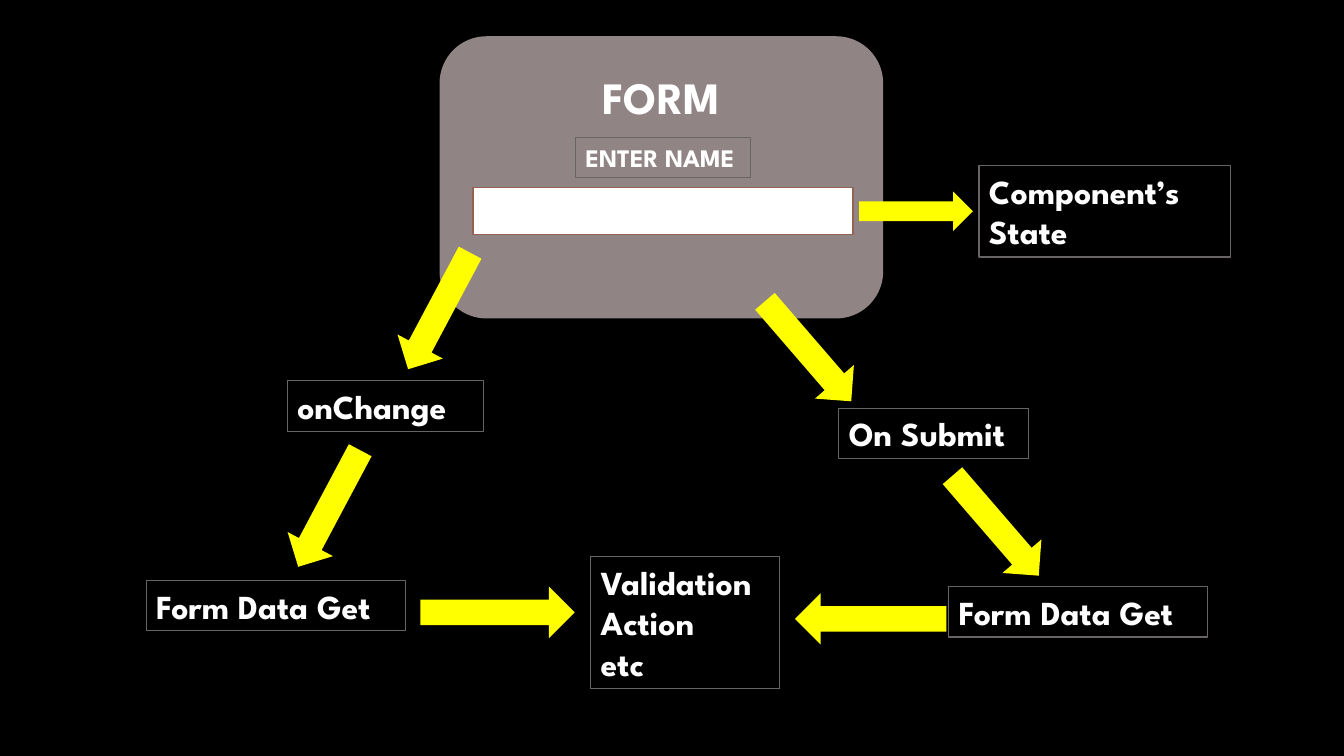
from pptx import Presentation
from pptx.dml.color import RGBColor
from pptx.enum import shapes, text
from pptx.util import Inches, Pt

FONT = "League Spartan"
HUES = {"back": "000000", "panel": "918485", "white": "FFFFFF",
        "field": "956251", "edge": "696464", "arrow": "FFFF00"}

PANEL = (4.36, 0.36, 4.4, 2.8)
FIELD = (4.69, 1.86, 3.77, 0.47)
LABELS = [
    (["ENTER NAME"], 18, (5.71, 1.36, 1.73, 0.4)),
    (["onChange"], 24, (2.85, 3.78, 1.95, 0.5)),
    (["On Submit"], 24, (8.32, 4.05, 1.88, 0.5)),
    (["Component’s", "State"], 24, (9.71, 1.64, 2.49, 0.91)),
    (["Form Data Get"], 24, (9.41, 5.82, 2.57, 0.5)),
    (["Form Data Get"], 24, (1.45, 5.76, 2.57, 0.5)),
    (["Validation", "Action", "etc"], 24, (5.86, 5.52, 1.87, 1.31)),
]
LEFT, RIGHT = 28, 319.2
ARROWS = [
    ((4.1, 2.43, 0.51, 1.31), LEFT),
    ((3.01, 4.39, 0.51, 1.31), LEFT),
    ((7.76, 2.83, 0.51, 1.31), RIGHT),
    ((9.62, 4.56, 0.51, 1.31), RIGHT),
    ((8.89, 1.53, 0.39, 1.13), 270),
    ((4.68, 5.31, 0.51, 1.53), 270),
    ((8.38, 5.39, 0.51, 1.5), 90),
]


def hue(name):
    return RGBColor.from_string(HUES[name])


def draw(slide, kind, box, fill, edge=None):
    shape = slide.shapes.add_shape(kind, *map(Inches, box))
    shape.shadow.inherit = False
    shape.fill.solid()
    shape.fill.fore_color.rgb = hue(fill)
    if edge:
        shape.line.color.rgb = hue(edge)
        shape.line.width = Pt(1)
    else:
        shape.line.fill.background()
    return shape


def write(frame, lines, size, align):
    for i, line in enumerate(lines):
        para = frame.paragraphs[0] if i == 0 else frame.add_paragraph()
        para.text = line
        para.alignment = align
        para.font.name = FONT
        para.font.size = Pt(size)
        para.font.bold = True
        para.font.color.rgb = hue("white")


def label(slide, lines, size, box):
    shape = slide.shapes.add_textbox(*map(Inches, box))
    shape.line.color.rgb = hue("edge")
    shape.line.width = Pt(0.75)
    frame = shape.text_frame
    write(frame, lines, size, text.PP_ALIGN.LEFT)
    frame.word_wrap = False
    frame.auto_size = text.MSO_AUTO_SIZE.SHAPE_TO_FIT_TEXT
    frame.vertical_anchor = text.MSO_ANCHOR.MIDDLE


def main():
    deck = Presentation()
    deck.slide_width, deck.slide_height = Inches(13.33), Inches(7.5)
    slide = deck.slides.add_slide(deck.slide_layouts[6])
    slide.background.fill.solid()
    slide.background.fill.fore_color.rgb = hue("back")

    kinds = shapes.MSO_SHAPE
    panel = draw(slide, kinds.ROUNDED_RECTANGLE, PANEL, "panel")
    frame = panel.text_frame
    frame.vertical_anchor = text.MSO_ANCHOR.TOP
    frame.margin_top = Inches(0.2)
    write(frame, ["FORM"], 32, text.PP_ALIGN.CENTER)
    draw(slide, kinds.RECTANGLE, FIELD, "white", "field")

    for lines, size, box in LABELS:
        label(slide, lines, size, box)
    for box, turn in ARROWS:
        draw(slide, kinds.DOWN_ARROW, box, "arrow").rotation = turn

    deck.save("out.pptx")


if __name__ == "__main__":
    main()
